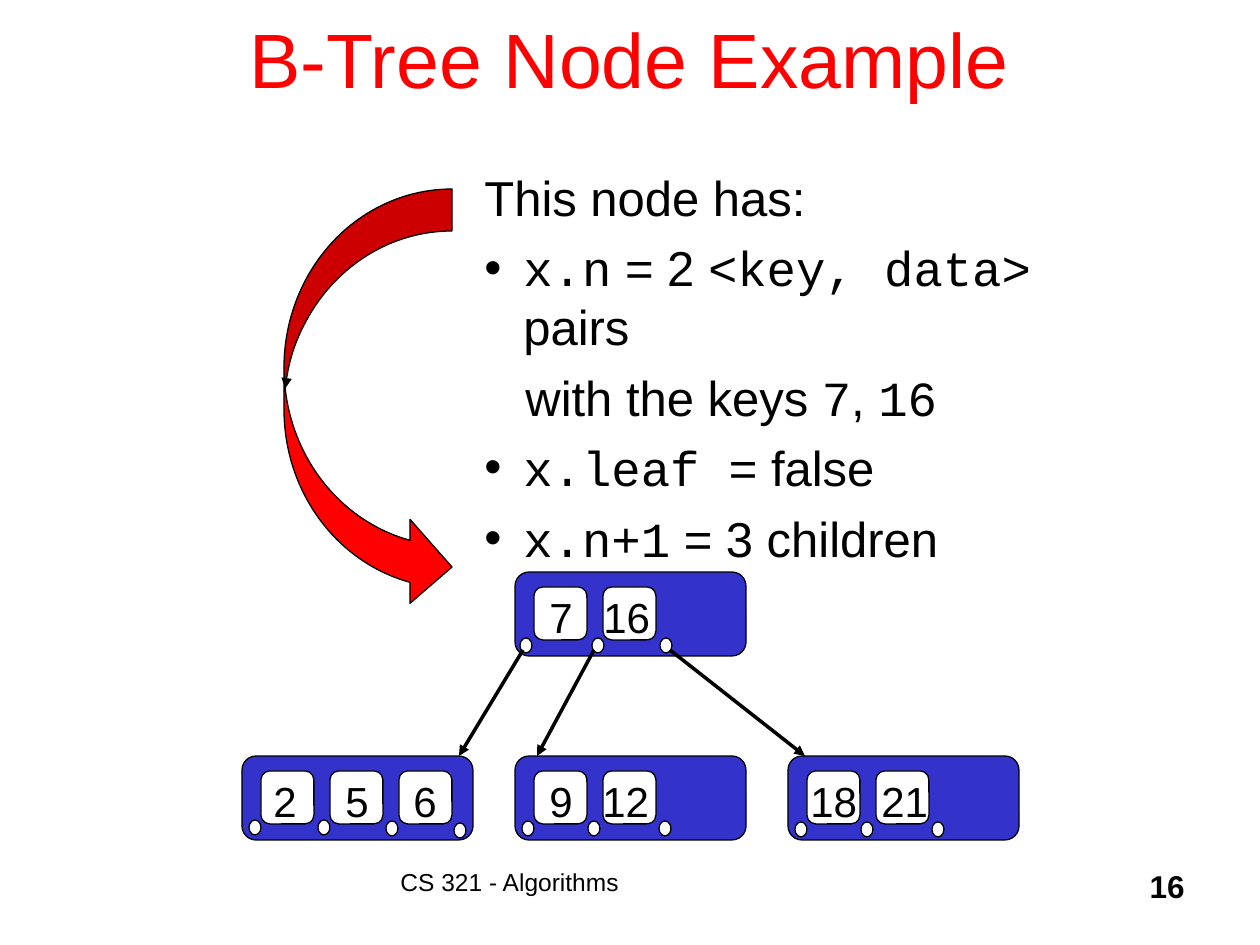
"""Build the B-tree node example slide."""
from dataclasses import dataclass

from lxml import etree
from pptx import Presentation
from pptx import util as u
from pptx.dml.color import RGBColor
from pptx.enum import shapes, text
from pptx.oxml.ns import qn


@dataclass(frozen=True)
class Theme:
    black: str = "000000"
    white: str = "FFFFFF"
    red: str = "FF0000"
    blue: str = "3333CC"
    sans: str = "Arial"
    mono: str = "Courier New"
    title_size: int = 44
    body_size: int = 28
    key_size: int = 24
    number_size: int = 18
    footer_size: int = 14
    outline: float = 0.75
    link: int = 2


class Slide:
    def __init__(self, page, theme):
        self.shapes = page.shapes
        self.theme = theme

    def px(self, length):
        return u.Emu(round(length * u.Inches(1) / 126))

    def start_group(self):
        self.shapes = self.shapes.add_group_shape().shapes

    def frame(self, *bounds):
        box = self.shapes.add_textbox(*map(self.px, bounds))
        box.text_frame.word_wrap = True
        return box.text_frame

    def style(self, font, size, color=None, bold=False, face=None):
        font.name = face or self.theme.sans
        font.size = u.Pt(size)
        font.bold = bold
        font.color.rgb = RGBColor.from_string(color or self.theme.black)

    def label(self, words, bounds, size, color=None, bold=False,
              align=text.PP_ALIGN.LEFT, anchor=text.MSO_ANCHOR.TOP):
        frame = self.frame(*bounds)
        frame.text = words
        frame.vertical_anchor = anchor
        para = frame.paragraphs[0]
        para.alignment = align
        self.style(para.runs[0].font, size, color, bold)

    def body(self, bounds, items):
        frame = self.frame(*bounds)
        for index, (margin, bullet, spans) in enumerate(items):
            para = frame.add_paragraph() if index else frame.paragraphs[0]
            if index:
                para.space_before = u.Pt(6.7)
            props = para._p.get_or_add_pPr()
            props.set("marL", str(self.px(margin)))
            if bullet:
                props.set("indent", str(-self.px(margin)))
                etree.SubElement(props, qn("a:buFont")).set("typeface", self.theme.sans)
                etree.SubElement(props, qn("a:buChar")).set("char", "•")
            for words, face in spans:
                span = para.add_run()
                span.text = words
                self.style(span.font, self.theme.body_size, face=face)

    def shape(self, kind, bounds, fill):
        shape = self.shapes.add_shape(kind, *map(self.px, bounds))
        shape.shadow.inherit = False
        shape.fill.solid()
        shape.fill.fore_color.rgb = RGBColor.from_string(fill)
        self.outline(shape.line, self.theme.outline)
        return shape

    def outline(self, line, width):
        line.color.rgb = RGBColor.from_string(self.theme.black)
        line.width = u.Pt(width)

    def arrowhead(self, line):
        etree.SubElement(line._get_or_add_ln(), qn("a:tailEnd")).set("type", "triangle")

    def arrow(self, *ends):
        link = self.shapes.add_connector(shapes.MSO_CONNECTOR.STRAIGHT, *map(self.px, ends))
        self.outline(link.line, self.theme.link)
        self.arrowhead(link.line)
        etree.SubElement(link._element.spPr, qn("a:effectLst"))

    def node(self, left, top, keys, dots):
        rounded = shapes.MSO_SHAPE.ROUNDED_RECTANGLE
        self.shape(rounded, (left, top, 231, 84), self.theme.blue)
        for index, (key, nudge) in enumerate(keys):
            cell = left + 19 + 69 * index
            self.shape(rounded, (cell, top + 15, 53, 53), self.theme.white)
            bounds = (cell + nudge, top + 13, 53 if len(key) == 1 else 84, 63)
            self.label(key, bounds, self.theme.key_size)
        for across, down in dots:
            self.shape(shapes.MSO_SHAPE.OVAL, (left + across, top + down, 12, 15),
                       self.theme.white)


def main():
    theme = Theme()
    deck = Presentation()
    deck.slide_width, deck.slide_height = u.Inches(10), u.Inches(7.5)
    slide = Slide(deck.slides.add_slide(deck.slide_layouts[6]), theme)

    slide.label("B-Tree Node Example", (94, -21, 1071, 158), theme.title_size, theme.red,
                align=text.PP_ALIGN.CENTER, anchor=text.MSO_ANCHOR.MIDDLE)
    sans, mono = theme.sans, theme.mono
    slide.body((472, 161, 649, 417), [
        (0, False, [("This node has:", sans)]),
        (39, True, [("x.n", mono), (" = 2 ", sans), ("<key, data>", mono), (" pairs", sans)]),
        (41, False, [("with the keys ", sans), ("7", mono), (", ", sans), ("16", mono)]),
        (39, True, [("x.leaf ", mono), ("= false", sans)]),
        (39, True, [("x.n+1", mono), (" = 3 children", sans)]),
    ])
    pointer = slide.shape(shapes.MSO_SHAPE.CURVED_RIGHT_ARROW, (284, 189, 168, 420), theme.red)
    slide.arrowhead(pointer.line)
    slide.label("CS 321 - Algorithms", (388, 861, 483, 63), theme.footer_size)
    slide.label("16", (935, 861, 262, 63), theme.number_size, bold=True,
                align=text.PP_ALIGN.RIGHT)

    slide.start_group()
    nodes = [
        (515, 572, [("7", 3), ("16", -12)], [(5, 66), (77, 66), (145, 66)]),
        (242, 756, [("2", 0), ("5", 3), ("6", 2)], [(7, 64), (76, 64), (144, 65), (212, 67)]),
        (515, 756, [("9", 3), ("12", -13)], [(7, 65), (73, 65), (144, 65)]),
        (788, 756, [("18", -9), ("21", -7)], [(7, 66), (73, 66), (144, 66)]),
    ]
    for node in nodes:
        slide.node(*node)
    for start, end in [(523, 459), (594, 537), (670, 805)]:
        slide.arrow(start, 650, end, 756)

    deck.save("out.pptx")


if __name__ == "__main__":
    main()
